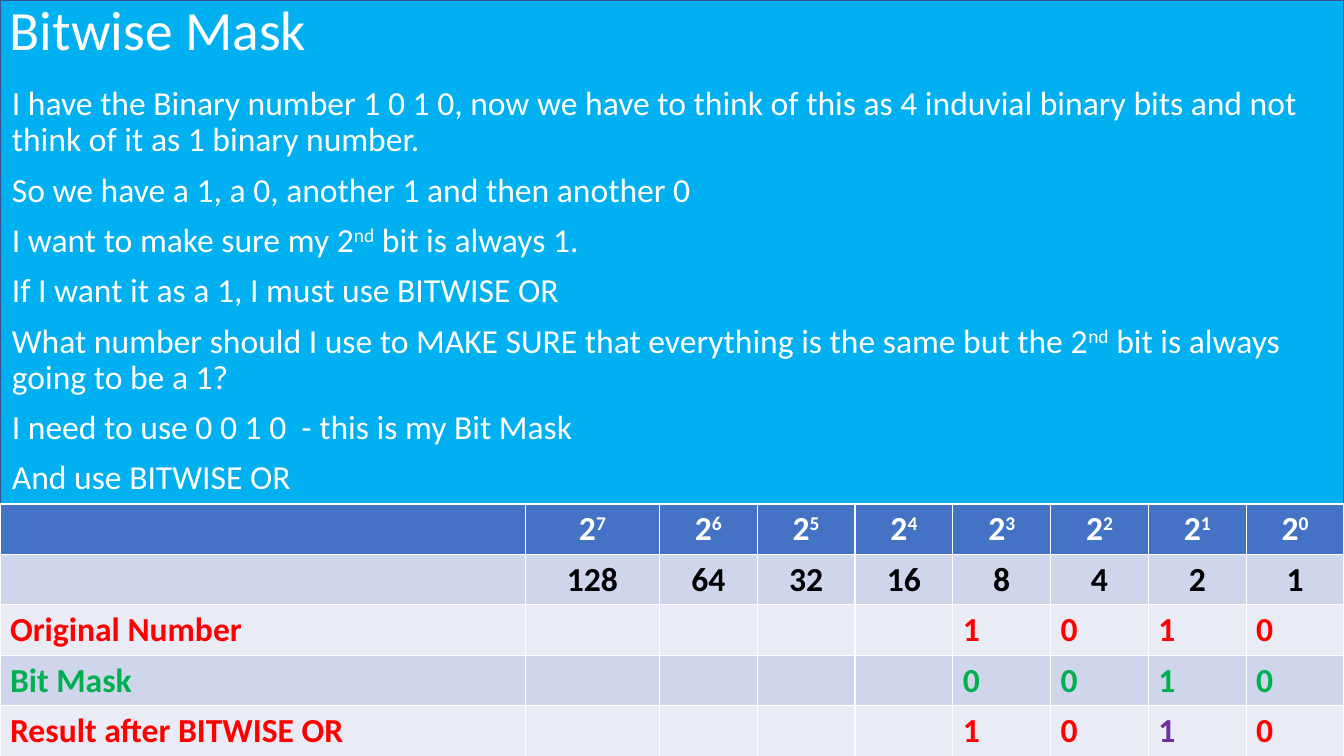
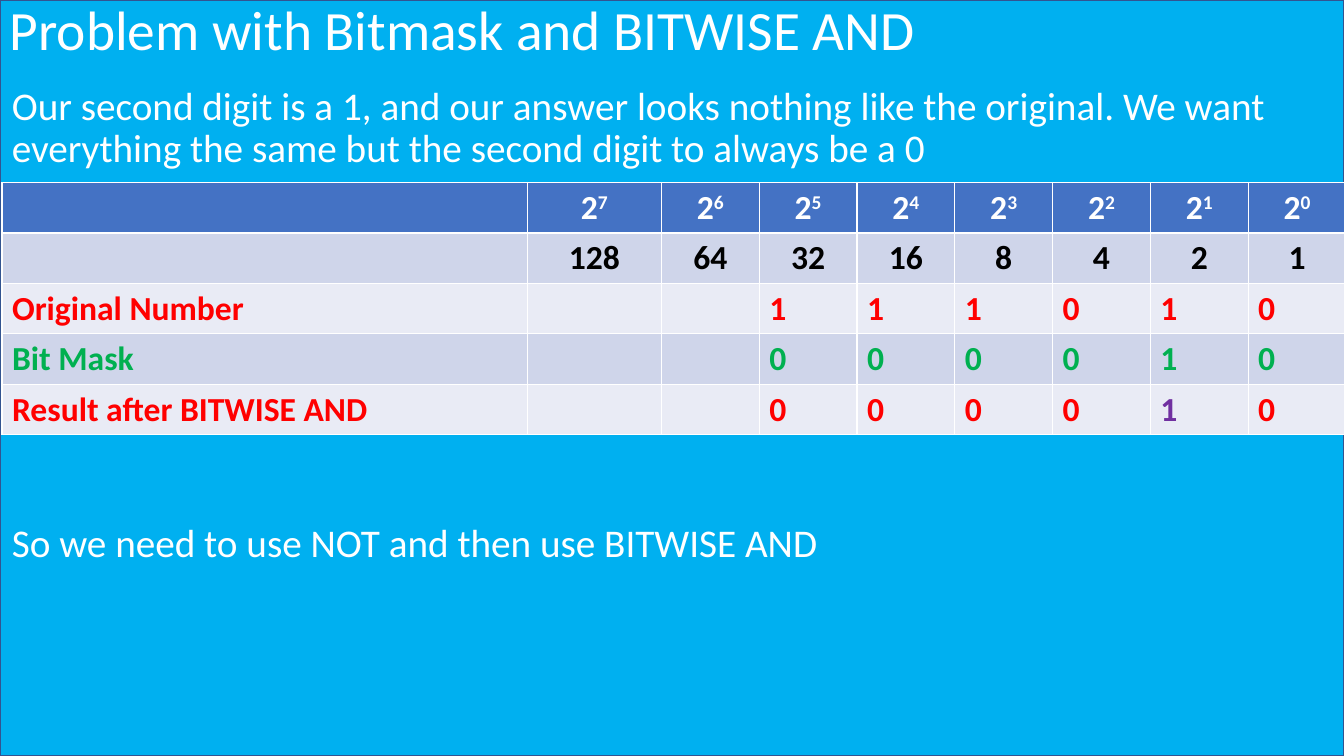
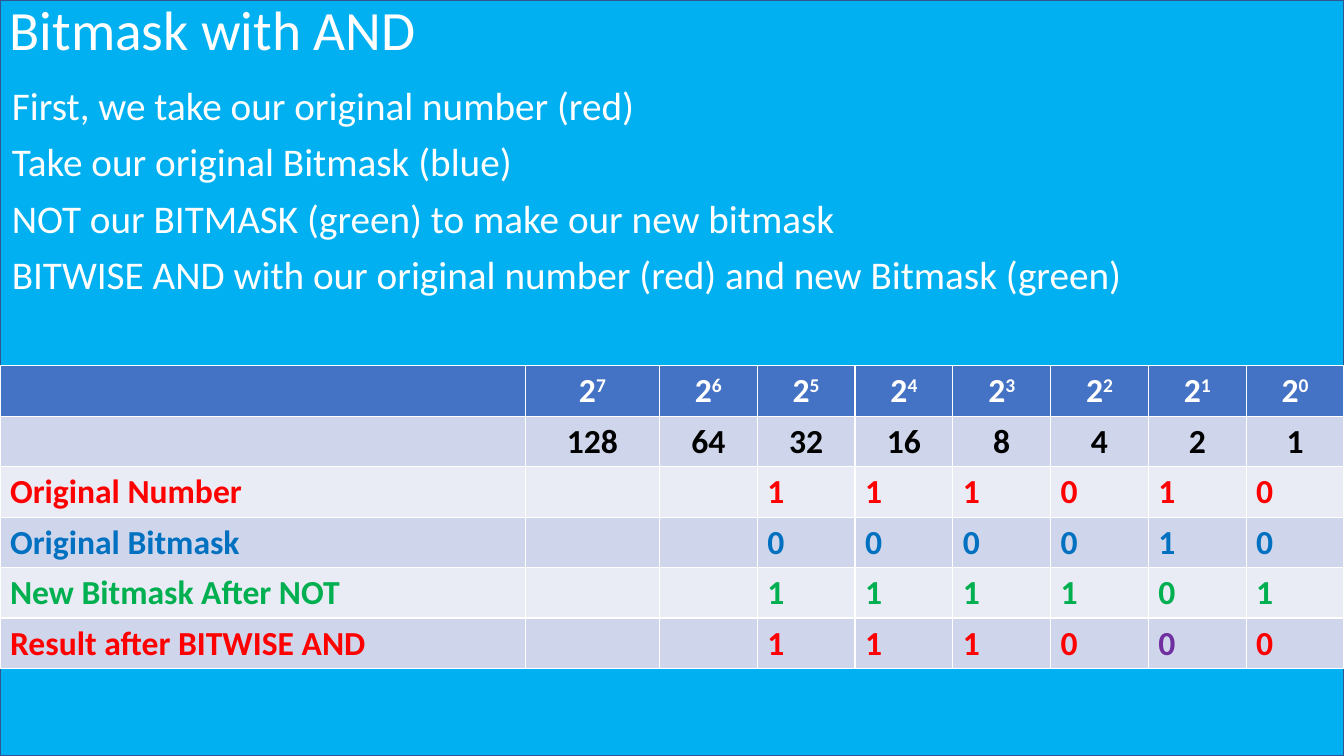
from pptx import Presentation
from pptx.dml.color import RGBColor
from pptx.enum.shapes import MSO_SHAPE
from pptx.enum.text import MSO_ANCHOR, PP_ALIGN
from pptx.util import Cm, Pt

WHITE = RGBColor(0xFF, 0xFF, 0xFF)
BLACK = RGBColor(0x00, 0x00, 0x00)
SKY = RGBColor(0x00, 0xB0, 0xF0)
NAVY = RGBColor(0x32, 0x54, 0x91)
HEADER_BLUE = RGBColor(0x44, 0x72, 0xC4)
DARK_BAND = RGBColor(0xCF, 0xD5, 0xEA)
LIGHT_BAND = RGBColor(0xE9, 0xEB, 0xF5)
RED = RGBColor(0xFF, 0x00, 0x00)
GREEN = RGBColor(0x00, 0xB0, 0x50)
BLUE = RGBColor(0x00, 0x70, 0xC0)
PURPLE = RGBColor(0x70, 0x30, 0xA0)

FONT = "Calibri"
SLIDE_WIDTH, SLIDE_HEIGHT = Cm(33.87), Cm(19.05)
TITLE_HEIGHT = Cm(1.63)
BODY_LEFT, BODY_TOP = Cm(0.05), Cm(2.06)
BITS = 8
LABEL_WIDTH, HIGH_BIT_WIDTH = Cm(13.24), Cm(3.38)
BIT_WIDTH = (SLIDE_WIDTH - LABEL_WIDTH - HIGH_BIT_WIDTH) // (BITS - 1)
ROW_HEIGHT = Cm(1.27)
MASKED_COLUMN = BITS - 1  # the column of 2 to the power 1


def add_runs(paragraph, text, size, color, bold=False):
    """Write text in runs; parts between ^ marks are superscript."""
    for index, part in enumerate(text.split("^")):
        if not part:
            continue
        run = paragraph.add_run()
        run.text = part
        run.font.name = FONT
        run.font.size = Pt(size)
        run.font.bold = bold
        run.font.color.rgb = color
        if index % 2:
            run.font._element.set("baseline", "30000")


def add_text(slide, left, top, height, lines, size, anchor=MSO_ANCHOR.TOP):
    frame = slide.shapes.add_textbox(left, top, SLIDE_WIDTH, height).text_frame
    frame.word_wrap = True
    frame.vertical_anchor = anchor
    for index, line in enumerate(lines):
        paragraph = frame.add_paragraph() if index else frame.paragraphs[0]
        paragraph.line_spacing = 0.9
        paragraph.space_before = Pt(10 if index else 0)
        add_runs(paragraph, line, size, WHITE)


def add_titled_slide(deck, title):
    slide = deck.slides.add_slide(deck.slide_layouts[6])
    backdrop = slide.shapes.add_shape(
        MSO_SHAPE.RECTANGLE, 0, 0, SLIDE_WIDTH, SLIDE_HEIGHT)
    backdrop.shadow.inherit = False
    backdrop.fill.solid()
    backdrop.fill.fore_color.rgb = SKY
    backdrop.line.color.rgb = NAVY
    backdrop.line.width = Pt(1)
    add_text(slide, 0, 0, TITLE_HEIGHT, [title], 39.6, MSO_ANCHOR.MIDDLE)
    return slide


def fill_cell(cell, text, fill, color, centred):
    cell.fill.solid()
    cell.fill.fore_color.rgb = fill
    if not centred:
        cell.vertical_anchor = MSO_ANCHOR.MIDDLE
    paragraph = cell.text_frame.paragraphs[0]
    if centred:
        paragraph.alignment = PP_ALIGN.CENTER
    add_runs(paragraph, text, 24, color, bold=True)


def add_bit_table(slide, left, top, numbers):
    """Add place values and one row per (label, bits, colour); the last is the result."""
    powers = range(BITS - 1, -1, -1)
    rows = [
        ([""] + [f"2^{power}^" for power in powers], WHITE),
        ([""] + [str(2 ** power) for power in powers], BLACK),
    ]
    rows += [([label] + [bit.strip() for bit in bits.rjust(BITS)], color)
             for label, bits, color in numbers]
    table = slide.shapes.add_table(
        len(rows), BITS + 1, left, top, SLIDE_WIDTH, ROW_HEIGHT * len(rows)).table

    widths = [LABEL_WIDTH, HIGH_BIT_WIDTH] + [BIT_WIDTH] * (BITS - 1)
    for column, width in zip(table.columns, widths):
        column.width = width

    for row, (texts, row_color) in enumerate(rows):
        fill = HEADER_BLUE if row == 0 else DARK_BAND if row % 2 else LIGHT_BAND
        for column, text in enumerate(texts):
            is_masked_result = row == len(rows) - 1 and column == MASKED_COLUMN
            color = PURPLE if is_masked_result else row_color
            fill_cell(table.cell(row, column), text, fill, color, centred=row < 2)


def add_mask_slide(deck, title, lines, size, table_left, table_top, numbers):
    slide = add_titled_slide(deck, title)
    add_text(slide, BODY_LEFT, BODY_TOP, table_top - BODY_TOP, lines, size)
    add_bit_table(slide, table_left, table_top, numbers)
    return slide


def main():
    deck = Presentation()
    deck.slide_width, deck.slide_height = SLIDE_WIDTH, SLIDE_HEIGHT

    add_mask_slide(deck, "Bitwise Mask", [
        "I have the Binary number 1 0 1 0, now we have to think of this as 4 induvial "
        "binary bits and not think of it as 1 binary number.",
        "So we have a 1, a 0, another 1 and then another 0",
        "I want to make sure my 2^nd^ bit is always 1.",
        "If I want it as a 1, I must use BITWISE OR",
        "What number should I use to MAKE SURE that everything is the same but the "
        "2^nd^ bit is always going to be a 1?",
        "I need to use 0 0 1 0  - this is my Bit Mask",
        "And use BITWISE OR",
    ], 24, 0, Cm(12.7), [
        ("Original Number", "1010", RED),
        ("Bit Mask", "0010", GREEN),
        ("Result after BITWISE OR", "1010", RED),
    ])

    problem = add_mask_slide(deck, "Problem with Bitmask and BITWISE AND", [
        "Our second digit is a 1, and our answer looks nothing like the original. "
        "We want everything the same but the second digit to always be a 0",
    ], 28, BODY_LEFT, Cm(4.6), [
        ("Original Number", "111010", RED),
        ("Bit Mask", "000010", GREEN),
        ("Result after BITWISE AND", "000010", RED),
    ])
    add_text(problem, BODY_LEFT, Cm(13.08), Cm(1.5),
             ["So we need to use NOT and then use BITWISE AND"], 28)

    add_mask_slide(deck, "Bitmask with AND", [
        "First, we take our original number (red)",
        "Take our original Bitmask (blue)",
        "NOT our BITMASK (green) to make our new bitmask",
        "BITWISE AND with our original number (red) and new Bitmask (green)",
    ], 28, 0, Cm(9.22), [
        ("Original Number", "111010", RED),
        ("Original Bitmask", "000010", BLUE),
        ("New Bitmask After NOT", "111101", GREEN),
        ("Result after BITWISE AND", "111000", RED),
    ])

    deck.save("out.pptx")


if __name__ == "__main__":
    main()
